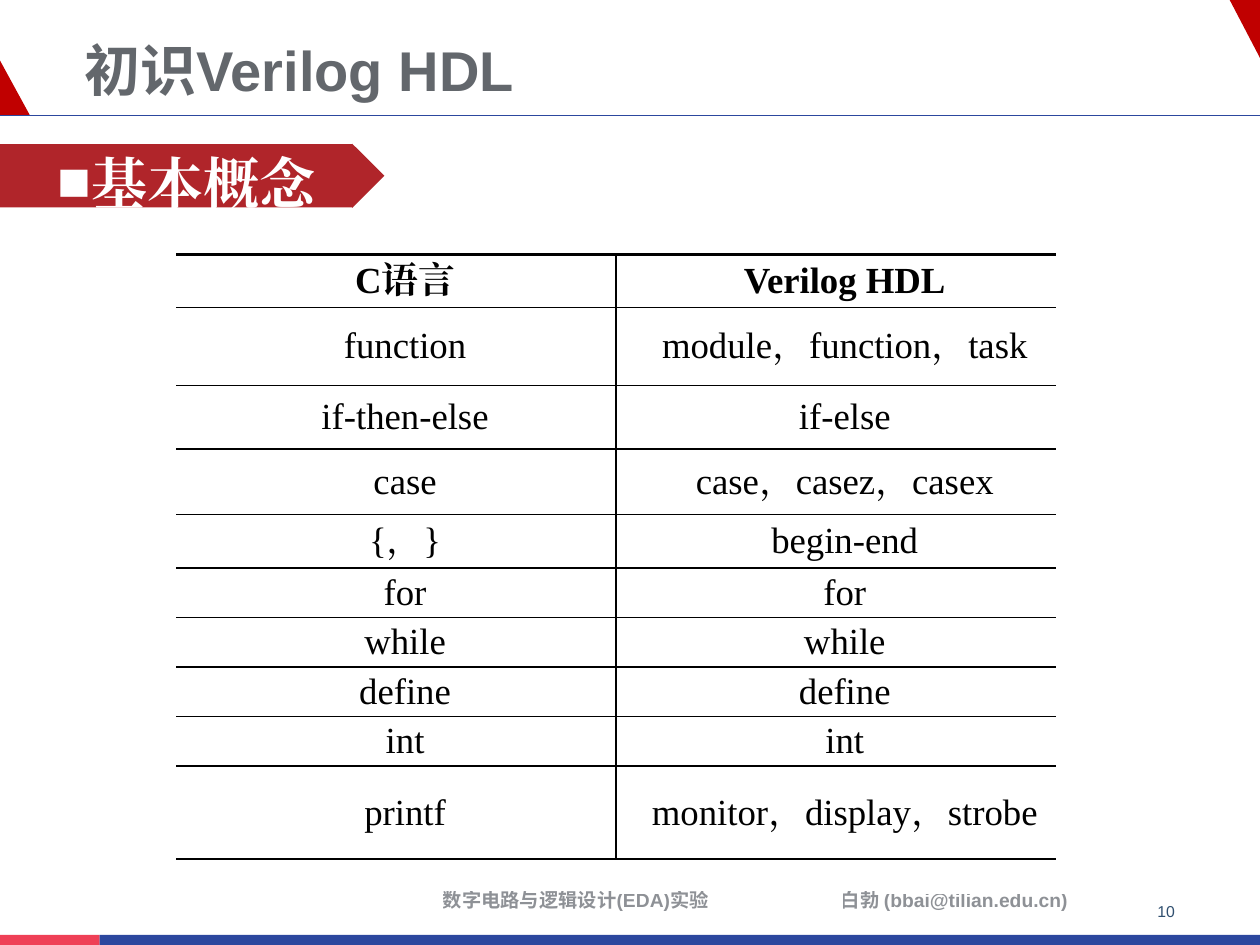
from dataclasses import dataclass
from typing import Optional

from lxml.etree import SubElement
from pptx import Presentation
from pptx.dml.color import RGBColor
from pptx.enum.shapes import MSO_CONNECTOR as Connector, MSO_SHAPE as Preset
from pptx.enum.text import MSO_ANCHOR as Anchor, PP_ALIGN as Align
from pptx.oxml.ns import qn
from pptx.util import Emu, Inches, Pt

COLUMNS, ROWS = 100, 75  # slide grid
WIDTH, HEIGHT = Inches(10), Inches(7.5)
WIDE_COMMA = "\uff0c"


@dataclass(frozen=True)
class Theme:
    sans: str = "Arial"
    serif: str = "Times New Roman"
    corner: str = "C00000"
    banner: str = "B0252A"
    accent: str = "EF4056"
    base: str = "2C479E"
    title: str = "63676C"
    footer: str = "1E242E"
    number: str = "304F6F"
    ink: str = "000000"
    white: str = "FFFFFF"
    heading_size: float = 32
    table_size: float = 21
    footer_size: float = 11
    number_size: float = 9


THEME = Theme()


@dataclass(frozen=True)
class Box:
    col: float
    row: float
    cols: float
    rows: float

    def emu(self) -> tuple:
        return across(self.col), down(self.row), across(self.cols), down(self.rows)


@dataclass(frozen=True)
class Block:
    box: Box
    color: str
    preset: Preset = Preset.RECTANGLE
    adjustments: tuple = ()


@dataclass(frozen=True)
class Caption:
    box: Box
    text: str
    size: float
    color: str
    bold: bool = True
    alpha: Optional[int] = None


def across(columns: float) -> Emu:
    return Emu(round(WIDTH * columns / COLUMNS))


def down(rows: float) -> Emu:
    return Emu(round(HEIGHT * rows / ROWS))


def write(frame, text: str, *, size: float, color: str, font: str = THEME.sans,
          bold: bool = False, align: Align = Align.LEFT, spacing=None,
          before: float = 0, alpha: Optional[int] = None):
    """Fill a text frame with one formatted paragraph and return it."""
    frame.word_wrap = True
    paragraph = frame.paragraphs[0]
    paragraph.alignment = align
    paragraph.space_before = Pt(before)
    if spacing:
        paragraph.line_spacing = spacing
    run = paragraph.add_run()
    run.text = text
    run.font.name, run.font.size, run.font.bold = font, Pt(size), bold
    run.font.color.rgb = RGBColor.from_string(color)
    if font == THEME.serif:
        SubElement(run._r.get_or_add_rPr(), qn("a:ea"), typeface=font)
    if alpha:
        rgb = run.font.fill._xPr.find(".//" + qn("a:srgbClr"))
        SubElement(rgb, qn("a:alpha"), val=str(alpha * 1000))
    return paragraph


def paint(shape, color: str) -> None:
    shape.shadow.inherit = False
    shape.fill.solid()
    shape.fill.fore_color.rgb = RGBColor.from_string(color)
    shape.line.fill.background()


def draw_corner(shapes, points: list) -> None:
    start, *rest = [(across(col), down(row)) for col, row in points]
    builder = shapes.build_freeform(*start, scale=1.0)
    builder.add_line_segments(rest, close=True)
    paint(builder.convert_to_shape(), THEME.corner)


def draw_block(shapes, block: Block) -> None:
    shape = shapes.add_shape(block.preset, *block.box.emu())
    for index, value in enumerate(block.adjustments):
        shape.adjustments[index] = value
    paint(shape, block.color)


def add_frame(shapes, box: Box, anchor: Anchor = Anchor.MIDDLE, inset: bool = False):
    frame = shapes.add_textbox(*box.emu()).text_frame
    frame.vertical_anchor = anchor
    if not inset:
        frame.margin_left = frame.margin_right = 0
        frame.margin_top = frame.margin_bottom = 0
    return frame


def draw_caption(shapes, caption: Caption) -> None:
    write(add_frame(shapes, caption.box), caption.text, size=caption.size,
          color=caption.color, bold=caption.bold, align=Align.CENTER, alpha=caption.alpha)


def set_borders(cell, widths: dict) -> None:
    properties = cell._tc.get_or_add_tcPr()
    for index, (side, width) in enumerate(widths.items()):
        line = SubElement(properties, qn(f"a:ln{side}"), w=str(Pt(width)))
        if width:
            SubElement(SubElement(line, qn("a:solidFill")), qn("a:srgbClr"), val=THEME.ink)
        else:
            SubElement(line, qn("a:noFill"))
        properties.insert(index, line)


def draw_comparison(shapes, box: Box, heights: list, terms: list) -> None:
    last_row, last_col = len(terms) - 1, len(terms[0]) - 1
    table = shapes.add_table(len(terms), len(terms[0]), *box.emu()).table
    table.first_row = table.horz_banding = False
    for column in table.columns:
        column.width = across(box.cols / len(terms[0]))
    for r, (height, pair) in enumerate(zip(heights, terms)):
        table.rows[r].height = down(height)
        for c, term in enumerate(pair):
            cell = table.cell(r, c)
            cell.vertical_anchor = Anchor.MIDDLE
            cell.margin_left = cell.margin_right = across(0.6)
            cell.margin_top = cell.margin_bottom = 0
            cell.fill.background()
            paragraph = write(cell.text_frame, term, size=THEME.table_size, color=THEME.ink,
                              font=THEME.serif, bold=r == 0, align=Align.CENTER)
            indent = paragraph._p.get_or_add_pPr()
            indent.set("marL", "0")
            indent.set("indent", str(across(1.4)))
            set_borders(cell, {"L": 1 if c else 0, "R": 1 if c < last_col else 0,
                               "T": 1 if r else 1.5, "B": 1 if r < last_row else 1.5})


CORNERS = [
    [(97.6, 0), (100, 0), (100, 4.6)],
    [(2.4, 9.2), (0, 9.2), (0, 4.8)],
]
BLOCKS = [
    Block(Box(0, 74.2, 7.9, 0.8), THEME.accent),
    Block(Box(7.9, 74.2, 92.1, 0.8), THEME.base),
    Block(Box(0, 11.4, 30.5, 5.1), THEME.banner, Preset.RIGHT_ARROW, (0.984, 0.5)),
]
CAPTIONS = [
    Caption(Box(62, 69.2, 27.5, 4.5), "白勃 (bbai@tilian.edu.cn)",
            THEME.footer_size, THEME.footer, alpha=50),
    Caption(Box(31.1, 69.2, 29.2, 4.5), "数字电路与逻辑设计(EDA)实验",
            THEME.footer_size, THEME.footer, alpha=50),
    Caption(Box(90.2, 69.6, 4.7, 5.4), "10", THEME.number_size, THEME.number, bold=False),
]
ROW_HEIGHTS = [4.2, 6.2, 5.05, 5.2, 4.25] + [3.93] * 4 + [7.4]
TERMS = [
    ("C语言", "Verilog HDL"),
    ("function", WIDE_COMMA.join(["module", "function", "task"])),
    ("if-then-else", "if-else"),
    ("case", WIDE_COMMA.join(["case", "casez", "casex"])),
    (WIDE_COMMA.join("{}"), "begin-end"),
    *[(word, word) for word in ("for", "while", "define", "int")],
    ("printf", WIDE_COMMA.join(["monitor", "display", "strobe"])),
]

deck = Presentation()
deck.slide_width, deck.slide_height = WIDTH, HEIGHT
shapes = deck.slides.add_slide(deck.slide_layouts[6]).shapes

# Frame of the page
for corner in CORNERS:
    draw_corner(shapes, corner)
for block in BLOCKS:
    draw_block(shapes, block)
rule = shapes.add_connector(Connector.STRAIGHT, 0, down(9.2), WIDTH, down(9.2))
rule.line.color.rgb = RGBColor.from_string(THEME.base)
rule.line.width = Pt(0.5)
SubElement(rule._element.spPr, qn("a:effectLst"))

# Title and section heading
write(add_frame(shapes, Box(6.7, 2, 73, 6.5)), "初识Verilog HDL",
      size=THEME.heading_size, color=THEME.title, bold=True, spacing=Pt(42))
section = write(add_frame(shapes, Box(3.6, 10.2, 90.4, 56.7), Anchor.TOP, inset=True),
                "基本概念", size=THEME.heading_size, color=THEME.white, font=THEME.serif,
                bold=True, spacing=1.2, before=10)
bullet = section._p.get_or_add_pPr()
SubElement(bullet, qn("a:buFont"), typeface=THEME.serif)
SubElement(bullet, qn("a:buChar"), char="■")

# Footer and comparison table
for caption in CAPTIONS:
    draw_caption(shapes, caption)
draw_comparison(shapes, Box(14, 20.2, 69.8, sum(ROW_HEIGHTS)), ROW_HEIGHTS, TERMS)

deck.save("out.pptx")
